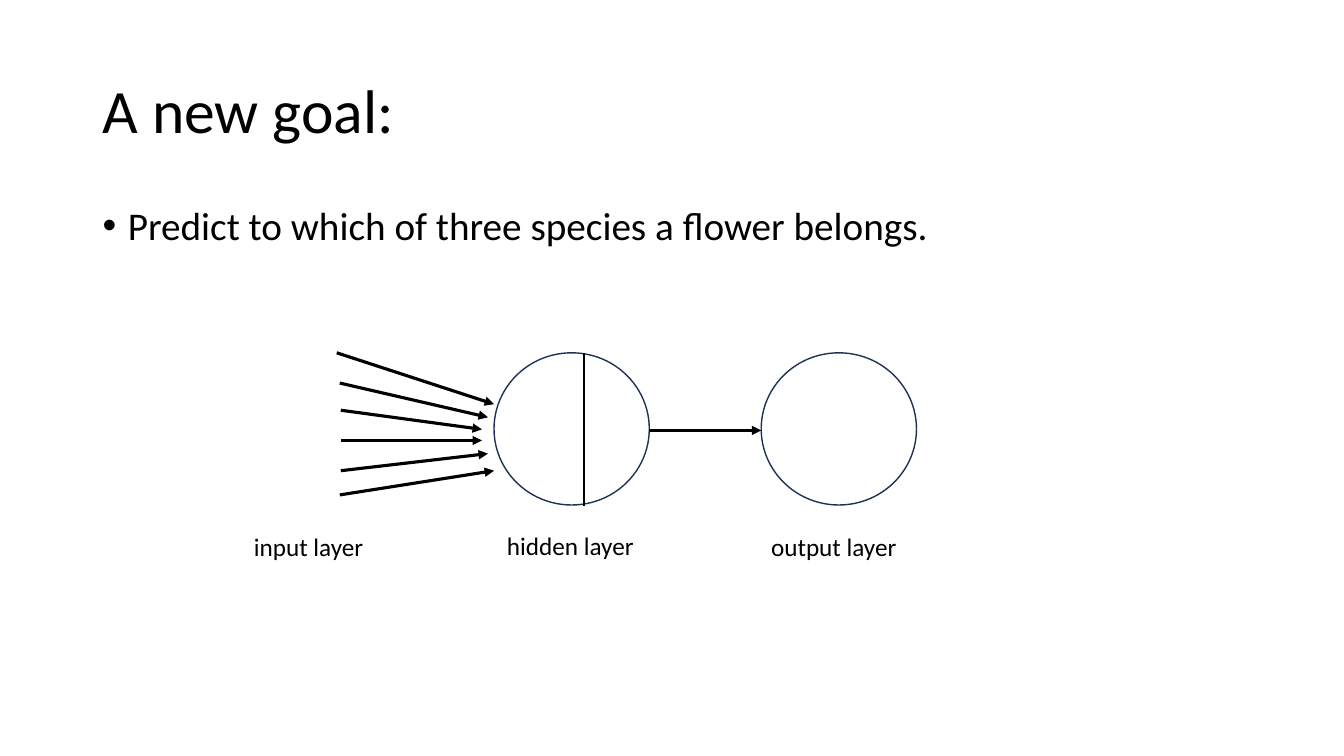
from lxml import etree
from pptx import Presentation
from pptx.dml.color import RGBColor
from pptx.enum.shapes import MSO_CONNECTOR, MSO_SHAPE
from pptx.enum.text import MSO_ANCHOR
from pptx.oxml.ns import qn
from pptx.util import Inches, Pt

COLORS = {"ink": "000000", "neuron": "1E3256"}

deck = Presentation()
deck.slide_width, deck.slide_height = Inches(13.33), Inches(7.5)
page = deck.slides.add_slide(deck.slide_layouts[6])


def add_text(text, place, size, wrap=True, anchor=MSO_ANCHOR.TOP, spacing=1.0, bullet=None):
    box = page.shapes.add_textbox(*map(Inches, place))
    box.text_frame.word_wrap = wrap
    box.text_frame.vertical_anchor = anchor
    para = box.text_frame.paragraphs[0]
    para.line_spacing = spacing
    if bullet:
        props = para._p.get_or_add_pPr()
        props.set("marL", str(Inches(0.25)))
        props.set("indent", str(Inches(-0.25)))
        etree.SubElement(props, qn("a:buFont")).set("typeface", "Arial")
        etree.SubElement(props, qn("a:buChar")).set("char", bullet)
    span = para.add_run()
    span.text = text
    for name, value in {"name": "Calibri", "size": Pt(size)}.items():
        setattr(span.font, name, value)
    span.font.color.rgb = RGBColor.from_string(COLORS["ink"])


def add_line(start, end, width=2.25, arrow=True):
    line = page.shapes.add_connector(MSO_CONNECTOR.STRAIGHT, *map(Inches, start + end))
    line.line.width = Pt(width)
    line.line.color.rgb = RGBColor.from_string(COLORS["ink"])
    if arrow:
        etree.SubElement(line.line._ln, qn("a:tailEnd")).set("type", "triangle")
    etree.SubElement(line._element.spPr, qn("a:effectLst"))


add_text("A new goal:", (0.92, 0.4, 11.5, 1.45), 44, anchor=MSO_ANCHOR.MIDDLE, spacing=0.9)
add_text("Predict to which of three species a flower belongs.",
         (0.92, 2, 11.5, 4.76), 28, spacing=0.9, bullet="•")

# Input arrows, from top to bottom
input_arrows = [
    ((3.34, 3.5), (4.9, 4.01)),
    ((3.37, 3.8), (4.84, 4.14)),
    ((3.38, 4.07), (4.78, 4.26)),
    ((3.38, 4.37), (4.78, 4.37)),
    ((3.38, 4.67), (4.84, 4.5)),
    ((3.37, 4.91), (4.9, 4.67)),
]
for start, end in input_arrows:
    add_line(start, end)

# Hidden and output neurons
for left in (4.9, 7.55):
    neuron = page.shapes.add_shape(
        MSO_SHAPE.OVAL, Inches(left), Inches(3.5), Inches(1.54), Inches(1.51))
    neuron.shadow.inherit = False
    neuron.fill.background()
    neuron.line.width = Pt(1)
    neuron.line.color.rgb = RGBColor.from_string(COLORS["neuron"])

add_line((5.79, 3.5), (5.79, 5.02), width=1.5, arrow=False)
add_line((6.44, 4.27), (7.55, 4.27))

layer_labels = [
    ("input layer", 2.42, 5.22, 1.3),
    ("hidden layer", 4.93, 5.21, 1.48),
    ("output layer", 7.55, 5.22, 1.46),
]
for label, left, top, width in layer_labels:
    add_text(label, (left, top, width, 0.4), 18, wrap=False)

deck.save("out.pptx")
